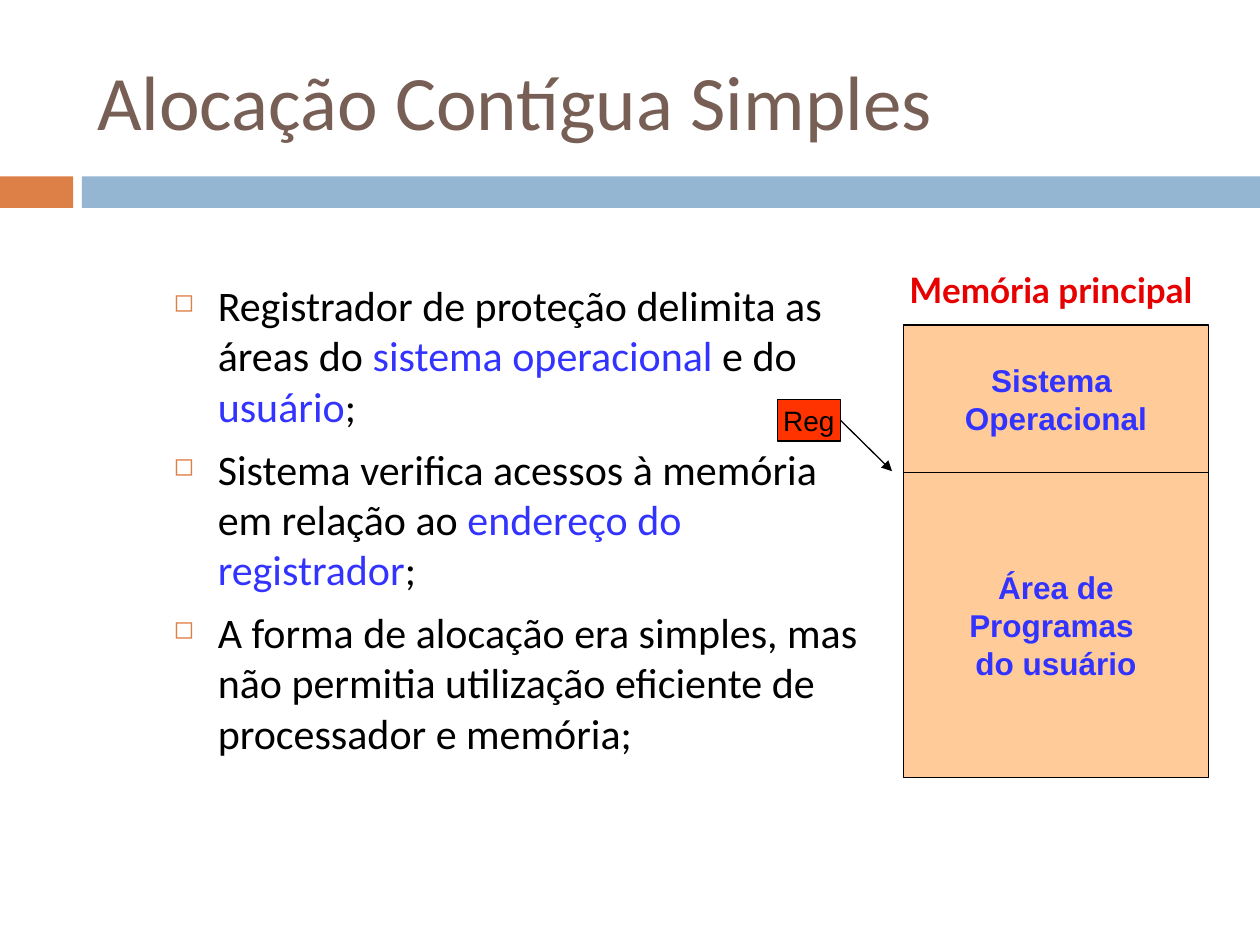
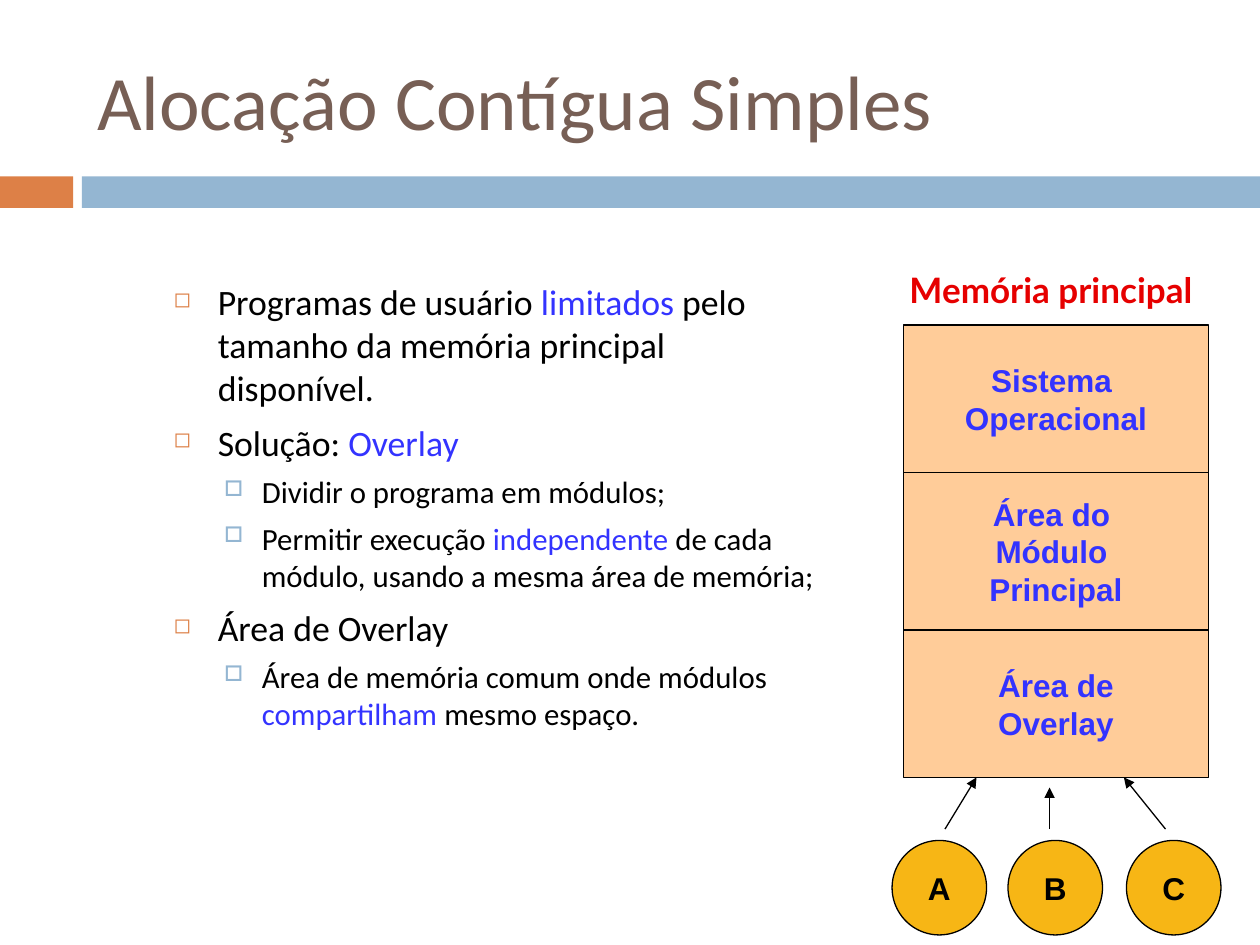
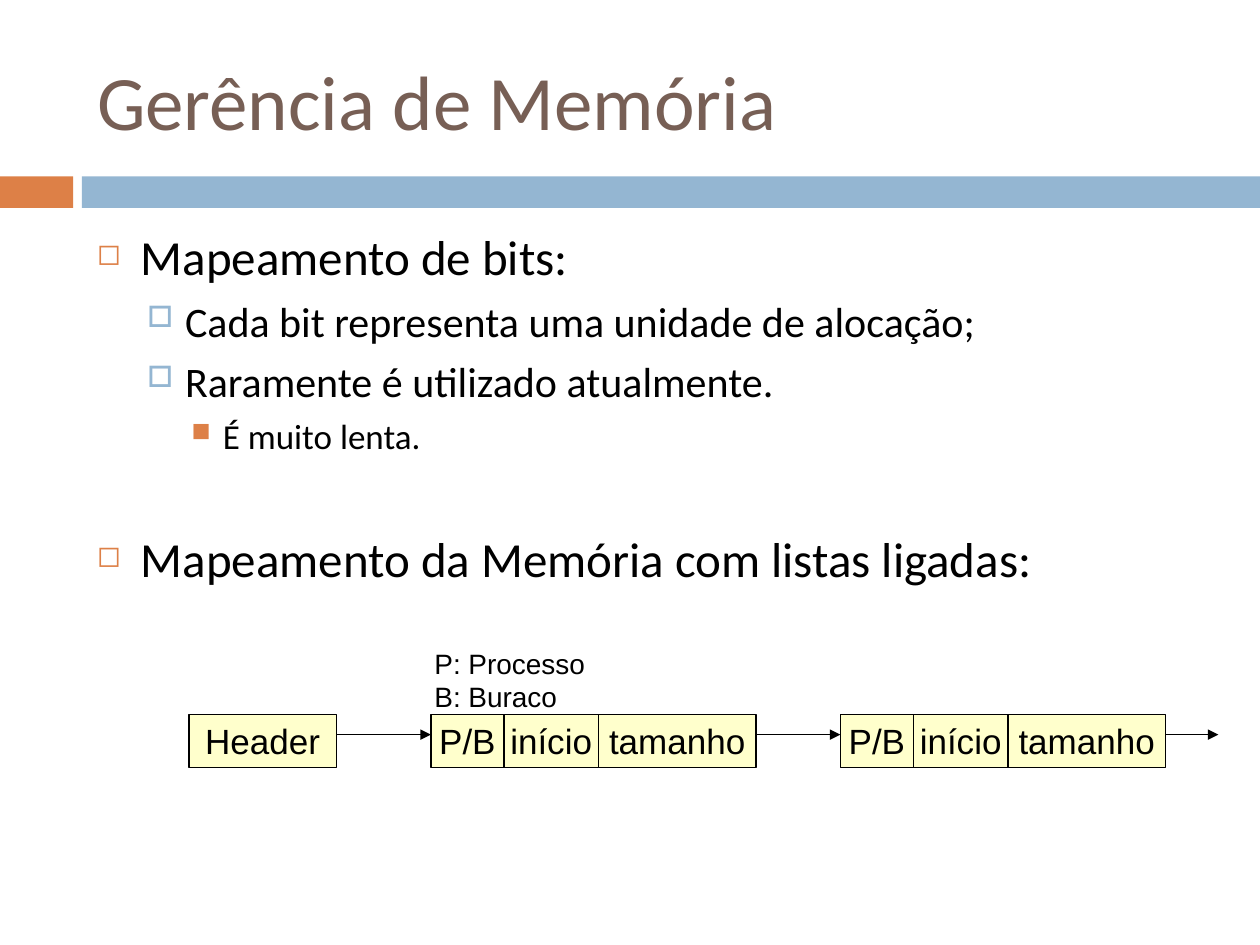
from lxml.etree import SubElement
from pptx import Presentation
from pptx.dml.color import RGBColor
from pptx.enum.shapes import MSO_CONNECTOR, MSO_SHAPE
from pptx.enum.text import MSO_ANCHOR, MSO_AUTO_SIZE, PP_ALIGN
from pptx.oxml.ns import qn
from pptx.util import Inches, Pt

BLACK, WHITE, BLUE, RED = "000000", "FFFFFF", "3333FF", "E60000"
ORANGE, SKY, BROWN = "DD8047", "94B6D2", "775F55"
MEMORY_FILL, REGISTER_FILL, MODULE_FILL, NODE_FILL = "FFCC99", "FF3300", "F7B615", "FFFFCC"

TITLE_BOX = (0.67, 0.25, 8.92, 1.08)
BANDS = [((0, 1.4, 0.58, 0.25), ORANGE), ((0.65, 1.4, 9.35, 0.25), SKY)]

TITLE_FORMAT = {"name": "Calibri", "size": 44, "color": BROWN}
CAPTION_FORMAT = {"name": "Lato", "size": 20, "bold": True, "color": RED}
MEMORY_FORMAT = {"name": "Arial", "size": 18, "bold": True, "color": BLUE}
MODULE_FORMAT = {"name": "Arial", "size": 18, "bold": True, "color": BLACK}
SMALL_FORMAT = {"name": "Arial", "size": 16, "color": BLACK}
NODE_FORMAT = {"name": "Arial", "size": 20, "color": BLACK}

LEVELS = [
    {"bullet": "◻", "color": ORANGE, "percent": 60, "margin": 0.35, "hanging": 0.35, "before": 7},
    {"bullet": "□", "color": SKY, "percent": 70, "margin": 0.7, "hanging": 0.3, "before": 5.5},
    {"bullet": "■", "color": ORANGE, "percent": 75, "margin": 1, "hanging": 0.25, "before": 5},
]

PROTECTION = [
    (0, ["Registrador de proteção delimita as áreas do ", "sistema operacional", " e do ",
         "usuário", ";"]),
    (0, ["Sistema verifica acessos à memória em relação ao ", "endereço do registrador", ";"]),
    (0, ["A forma de alocação era simples, mas não permitia utilização eficiente de "
         "processador e memória;"]),
]
OVERLAY = [
    (0, ["Programas de usuário ", "limitados", " pelo tamanho da memória principal disponível."]),
    (0, ["Solução: ", "Overlay"]),
    (1, ["Dividir o programa em módulos;"]),
    (1, ["Permitir execução ", "independente",
         " de cada módulo, usando a mesma área de memória;"]),
    (0, ["Área de Overlay"]),
    (1, ["Área de memória comum onde módulos ", "compartilham", " mesmo espaço."]),
]
BIT_MAP = [
    (0, ["Mapeamento de bits:"]),
    (1, ["Cada bit representa uma unidade de alocação;"]),
    (1, ["Raramente é utilizado atualmente."]),
    (2, ["É muito lenta."]),
    (0, ["Mapeamento da Memória com listas ligadas:"]),
]
LINKED_LIST_GAP = 41.5

SYSTEM_AREA = ("Sistema \nOperacional", 1.17)
SIMPLE_MEMORY = [SYSTEM_AREA, ("Área de\nProgramas \ndo usuário", 2.42)]
OVERLAY_MEMORY = [SYSTEM_AREA, ("Área do \nMódulo \nPrincipal", 1.25), ("Área de\nOverlay", 1.17)]

MODULES = [("A", 7.08), ("B", 8), ("C", 8.94)]
MODULE_ARROWS = [((7.5, 6.58), (7.75, 6.17)), ((8.33, 6.58), (8.33, 6.25)),
                 ((9.25, 6.58), (8.92, 6.17))]

NODE_FIELDS = [("P/B", 0.58), ("início", 0.75), ("tamanho", 1.25)]
NODES = [(1.5, [("Header", 1.17)]), (3.42, NODE_FIELDS), (6.67, NODE_FIELDS)]
NODE_TOP, NODE_HEIGHT, LINK_Y, LAST_LINK_END = 5.67, 0.42, 5.83, 9.67


def rgb(color):
    return RGBColor.from_string(color)


def inches(values):
    return [Inches(value) for value in values]


def apply_format(font, values):
    for name, value in values.items():
        if name == "color":
            font.color.rgb = rgb(value)
        else:
            setattr(font, name, Pt(value) if name == "size" else value)


def write_text(frame, text, values, alignment):
    frame.text = text
    for paragraph in frame.paragraphs:
        paragraph.alignment = alignment
        for run in paragraph.runs:
            apply_format(run.font, values)


def add_box(slide, box, fill, text="", values=None, kind=MSO_SHAPE.RECTANGLE, line=BLACK,
            anchor=MSO_ANCHOR.MIDDLE, wrap=False):
    shape = slide.shapes.add_shape(kind, *inches(box))
    shape.shadow.inherit = False
    shape.fill.solid()
    shape.fill.fore_color.rgb = rgb(fill)
    if line:
        shape.line.color.rgb = rgb(line)
        shape.line.width = Pt(0.75)
    else:
        shape.line.fill.background()
    if text:
        shape.text_frame.word_wrap = wrap
        shape.text_frame.vertical_anchor = anchor
        write_text(shape.text_frame, text, values, PP_ALIGN.CENTER)
    return shape


def add_arrow(slide, start, end):
    arrow = slide.shapes.add_connector(MSO_CONNECTOR.STRAIGHT, *inches(start + end))
    arrow.line.color.rgb = rgb(BLACK)
    arrow.line.width = Pt(0.75)
    properties = arrow.element.spPr
    SubElement(properties.find(qn("a:ln")), qn("a:tailEnd"), type="triangle")
    SubElement(properties, qn("a:effectLst"))
    return arrow


def add_bullet(paragraph, level):
    properties = paragraph._p.get_or_add_pPr()
    properties.set("marL", str(Inches(level["margin"])))
    properties.set("indent", str(-Inches(level["hanging"])))
    color = SubElement(properties, qn("a:buClr"))
    SubElement(color, qn("a:srgbClr"), val=level["color"])
    SubElement(properties, qn("a:buSzPct"), val=str(level["percent"] * 1000))
    SubElement(properties, qn("a:buChar"), char=level["bullet"])


def add_bullets(slide, box, bullets, sizes):
    frame = slide.shapes.add_textbox(*inches(box)).text_frame
    frame.word_wrap = True
    for index, (depth, runs) in enumerate(bullets):
        paragraph = frame.add_paragraph() if index else frame.paragraphs[0]
        paragraph.level = depth
        add_bullet(paragraph, LEVELS[depth])
        paragraph.space_before = Pt(LEVELS[depth]["before"] if index else 0)
        for position, text in enumerate(runs):
            run = paragraph.add_run()
            run.text = text
            apply_format(run.font, {"name": "Calibri", "size": sizes[depth],
                                    "color": BLUE if position % 2 else BLACK})
    return frame


def add_titled_slide(presentation, text):
    slide = presentation.slides.add_slide(presentation.slide_layouts[5])
    for box, fill in BANDS:
        add_box(slide, box, fill, line=None)
    title = slide.shapes.title
    title.left, title.top, title.width, title.height = inches(TITLE_BOX)
    title.text_frame.auto_size = MSO_AUTO_SIZE.NONE
    title.text_frame.vertical_anchor = MSO_ANCHOR.MIDDLE
    write_text(title.text_frame, text, TITLE_FORMAT, PP_ALIGN.LEFT)
    return slide


def add_memory(slide, areas):
    add_box(slide, (6.92, 2.08, 2.91, 0.43), WHITE, "Memória principal ", CAPTION_FORMAT,
            line=None, anchor=MSO_ANCHOR.TOP, wrap=True)
    top = 2.58
    for text, height in areas:
        add_box(slide, (7.17, top, 2.42, height), MEMORY_FILL, text, MEMORY_FORMAT)
        top += height


def build_protection(presentation):
    slide = add_titled_slide(presentation, "Alocação Contígua Simples")
    add_bullets(slide, (1.28, 2.17, 5.72, 4.5), PROTECTION, [24])
    add_memory(slide, SIMPLE_MEMORY)
    register = add_box(slide, (6.17, 3.17, 0.5, 0.33), REGISTER_FILL, "Reg", SMALL_FORMAT)
    add_arrow(slide, (6.67, 3.33), (7.08, 3.74)).begin_connect(register, 3)


def build_overlay(presentation):
    slide = add_titled_slide(presentation, "Alocação Contígua Simples")
    add_bullets(slide, (1.28, 2.17, 5.38, 4.5), OVERLAY, [20.4, 17.6])
    add_memory(slide, OVERLAY_MEMORY)
    for name, left in MODULES:
        add_box(slide, (left, 6.67, 0.75, 0.75), MODULE_FILL, name, MODULE_FORMAT,
                kind=MSO_SHAPE.OVAL)
    for start, end in MODULE_ARROWS:
        add_arrow(slide, start, end)


def build_linked_list(presentation):
    slide = add_titled_slide(presentation, "Gerência de Memória")
    frame = add_bullets(slide, (0.67, 1.75, 8.92, 4.92), BIT_MAP, [28, 24, 20])
    frame.paragraphs[-1].space_before = Pt(LINKED_LIST_GAP)
    link_ends = [left for left, fields in NODES[1:]] + [LAST_LINK_END]
    for (left, fields), link_end in zip(NODES, link_ends):
        for text, width in fields:
            add_box(slide, (left, NODE_TOP, width, NODE_HEIGHT), NODE_FILL, text, NODE_FORMAT)
            left += width
        add_arrow(slide, (left, LINK_Y), (link_end, LINK_Y))
    legend = slide.shapes.add_textbox(*inches((3.35, 5.08, 1.5, 0.64))).text_frame
    legend.word_wrap = True
    write_text(legend, "P: Processo\nB: Buraco", SMALL_FORMAT, PP_ALIGN.LEFT)


def main():
    presentation = Presentation()
    presentation.slide_width, presentation.slide_height = inches((10, 7.5))
    for build in (build_protection, build_overlay, build_linked_list):
        build(presentation)
    presentation.save("out.pptx")


if __name__ == "__main__":
    main()
